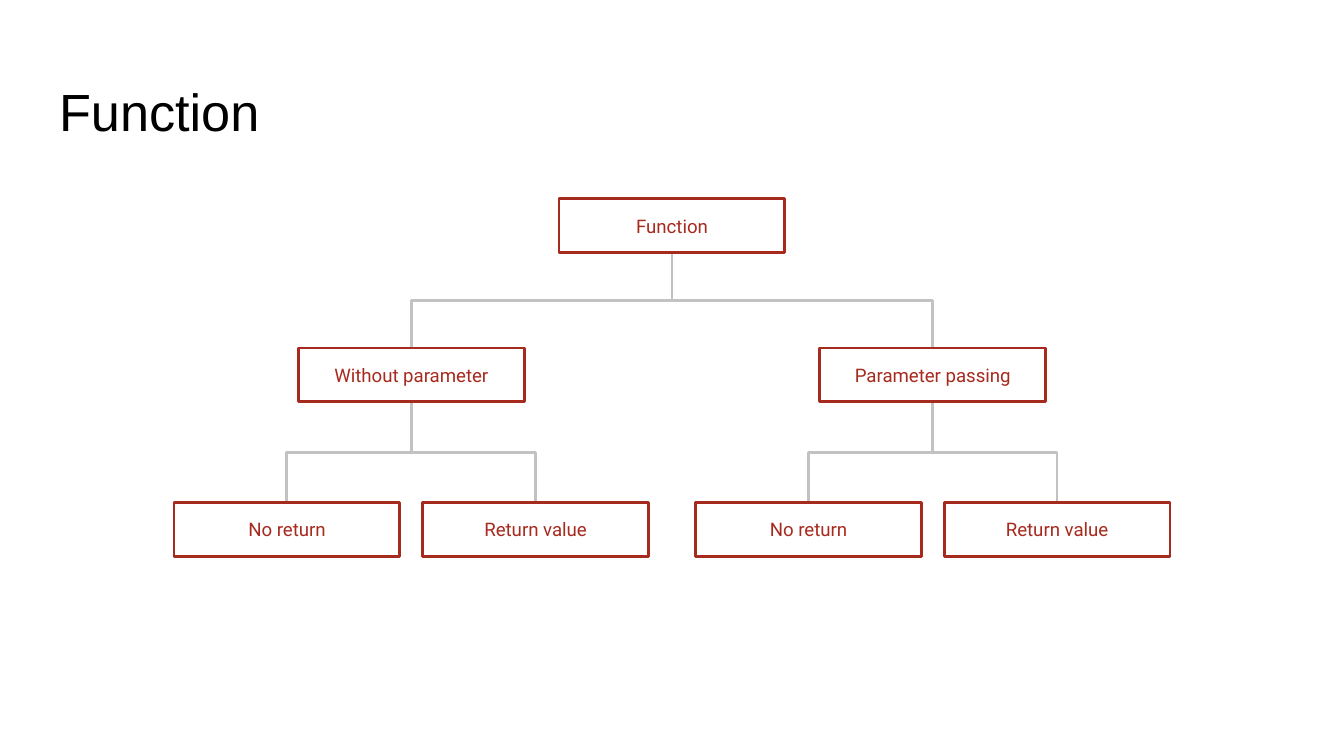
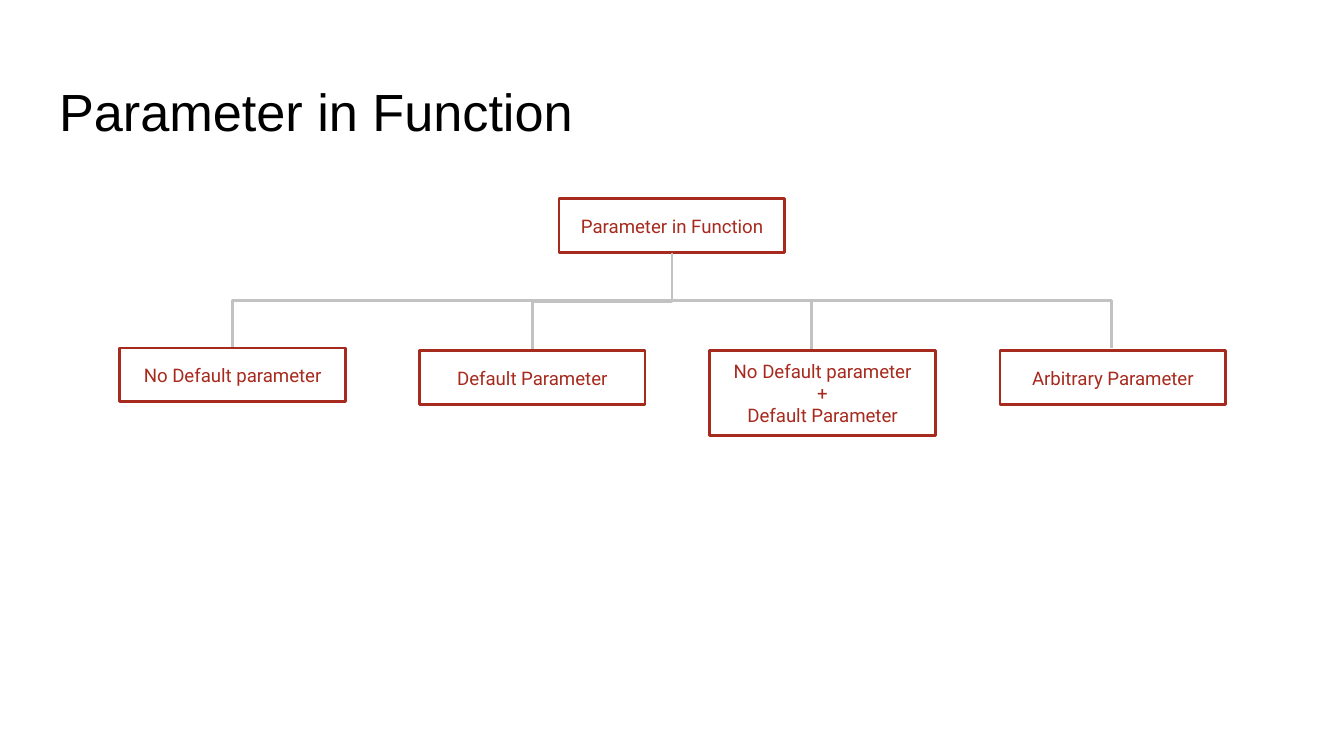
from dataclasses import dataclass

from lxml import etree
from pptx import Presentation
from pptx.dml.color import RGBColor
from pptx.enum.shapes import MSO_CONNECTOR, MSO_SHAPE
from pptx.enum.text import MSO_ANCHOR, MSO_AUTO_SIZE, PP_ALIGN
from pptx.oxml.ns import qn
from pptx.presentation import Presentation as Deck
from pptx.shapes.autoshape import Shape
from pptx.slide import Slide
from pptx.text.text import TextFrame
from pptx.util import Inches, Pt

# Shared style
BLACK = RGBColor(0x00, 0x00, 0x00)
RED = RGBColor(0xA7, 0x2A, 0x1E)
GREY = RGBColor(0xC2, 0xC2, 0xC2)
TITLE_FONT, TITLE_SIZE = "Arial", Pt(28)
NODE_FONT, NODE_SIZE = "Roboto", Pt(10)
LINE_WIDTH = Pt(1.5)
INSET = Inches(0.1)
TITLE_ONLY = 5

# Shared geometry
SLIDE_WIDTH = Inches(10)
SLIDE_HEIGHT = SLIDE_WIDTH * 9 // 16
NODE_WIDTH, NODE_HEIGHT = 1.68, 0.4
ROOT_X, ROOT_TOP = 5, 1.48
BRANCH_TOP, LEAF_TOP = 2.59, 3.74
LEAF_PITCH = 1.85
TOP_SITE, BOTTOM_SITE = 0, 2


@dataclass(frozen=True)
class Node:
    label: str
    center: float
    top: float
    children: tuple["Node", ...] = ()
    height: float = NODE_HEIGHT
    loose_end: tuple[float, float] | None = None  # branch end beside the top middle


def format_text(frame: TextFrame, font: str, size: int, color: RGBColor,
                align: PP_ALIGN, anchor: MSO_ANCHOR) -> None:
    frame.word_wrap = True
    frame.auto_size = MSO_AUTO_SIZE.NONE
    frame.vertical_anchor = anchor
    frame.margin_left = frame.margin_right = INSET
    frame.margin_top = frame.margin_bottom = INSET
    for paragraph in frame.paragraphs:
        paragraph.alignment = align
        for run in paragraph.runs:
            run.font.name = font
            run.font.size = size
            run.font.color.rgb = color


def add_titled_slide(deck: Deck, heading: str) -> Slide:
    slide = deck.slides.add_slide(deck.slide_layouts[TITLE_ONLY])
    title = slide.shapes.title
    title.left, title.top = Inches(0.34), Inches(0.49)
    title.width, title.height = Inches(9.32), Inches(0.63)
    title.text_frame.text = heading
    format_text(title.text_frame, TITLE_FONT, TITLE_SIZE, BLACK,
                PP_ALIGN.LEFT, MSO_ANCHOR.TOP)
    return slide


def add_branch(slide: Slide, parent: Shape, child: Shape,
               loose_end: tuple[float, float] | None) -> None:
    """Draw an elbow that leaves the parent's bottom downwards."""
    start_x, start_y = parent.left + parent.width // 2, parent.top + parent.height
    if loose_end:
        end_x, end_y = (Inches(length) for length in loose_end)
    else:
        end_x, end_y = child.left + child.width // 2, child.top
    branch = slide.shapes.add_connector(
        MSO_CONNECTOR.ELBOW, start_x, start_y, end_x, end_y)
    branch.begin_connect(parent, BOTTOM_SITE)
    if not loose_end:
        branch.end_connect(child, TOP_SITE)
        # Joined branches lie behind the boxes
        slide.shapes.title._element.addnext(branch._element)
    branch.line.color.rgb = GREY
    branch.line.width = LINE_WIDTH

    # Turn the elbow so that its outer legs are vertical
    drop, spread = end_y - start_y, abs(end_x - start_x)
    branch.width, branch.height = drop, spread
    branch.left = (start_x + end_x - drop) // 2
    branch.top = (start_y + end_y - spread) // 2
    properties = branch._element.spPr
    transform = properties.find(qn("a:xfrm"))
    for flip in ("flipH", "flipV"):
        transform.attrib.pop(flip, None)
    if end_x > start_x:
        transform.set("rot", str(270 * 60000))
        transform.set("flipH", "1")
    else:
        transform.set("rot", str(90 * 60000))
    etree.SubElement(properties, qn("a:effectLst"))


def add_tree(slide: Slide, node: Node) -> Shape:
    box = slide.shapes.add_shape(
        MSO_SHAPE.RECTANGLE, Inches(node.center - NODE_WIDTH / 2),
        Inches(node.top), Inches(NODE_WIDTH), Inches(node.height))
    box.shadow.inherit = False
    box.fill.background()
    box.line.color.rgb = RED
    box.line.width = LINE_WIDTH
    box.text_frame.text = node.label
    format_text(box.text_frame, NODE_FONT, NODE_SIZE, RED,
                PP_ALIGN.CENTER, MSO_ANCHOR.MIDDLE)
    for child in node.children:
        add_branch(slide, box, add_tree(slide, child), child.loose_end)
    return box


def return_kinds(center: float) -> tuple[Node, ...]:
    return (Node("No return", center - LEAF_PITCH / 2, LEAF_TOP),
            Node("Return value", center + LEAF_PITCH / 2, LEAF_TOP))


# Content
FUNCTION_TREE = Node("Function", ROOT_X, ROOT_TOP, tuple(
    Node(label, center, BRANCH_TOP, return_kinds(center))
    for label, center in (("Without parameter", 3.06), ("Parameter passing", 6.94))))

LOWER_TOP = 2.61
PARAMETER_TREE = Node("Parameter in Function", ROOT_X, ROOT_TOP, (
    Node("No Default parameter", 1.73, BRANCH_TOP),
    Node("Default Parameter", 3.96, LOWER_TOP),
    Node("No Default parameter\n+\nDefault Parameter", 6.12, LOWER_TOP,
         height=0.63, loose_end=(6.04, 2.6)),
    Node("Arbitrary Parameter", 8.28, LOWER_TOP, loose_end=(8.27, BRANCH_TOP))))


def main() -> None:
    deck = Presentation()
    deck.slide_width, deck.slide_height = SLIDE_WIDTH, SLIDE_HEIGHT
    for tree in (FUNCTION_TREE, PARAMETER_TREE):
        add_tree(add_titled_slide(deck, tree.label), tree)
    deck.save("out.pptx")


if __name__ == "__main__":
    main()
